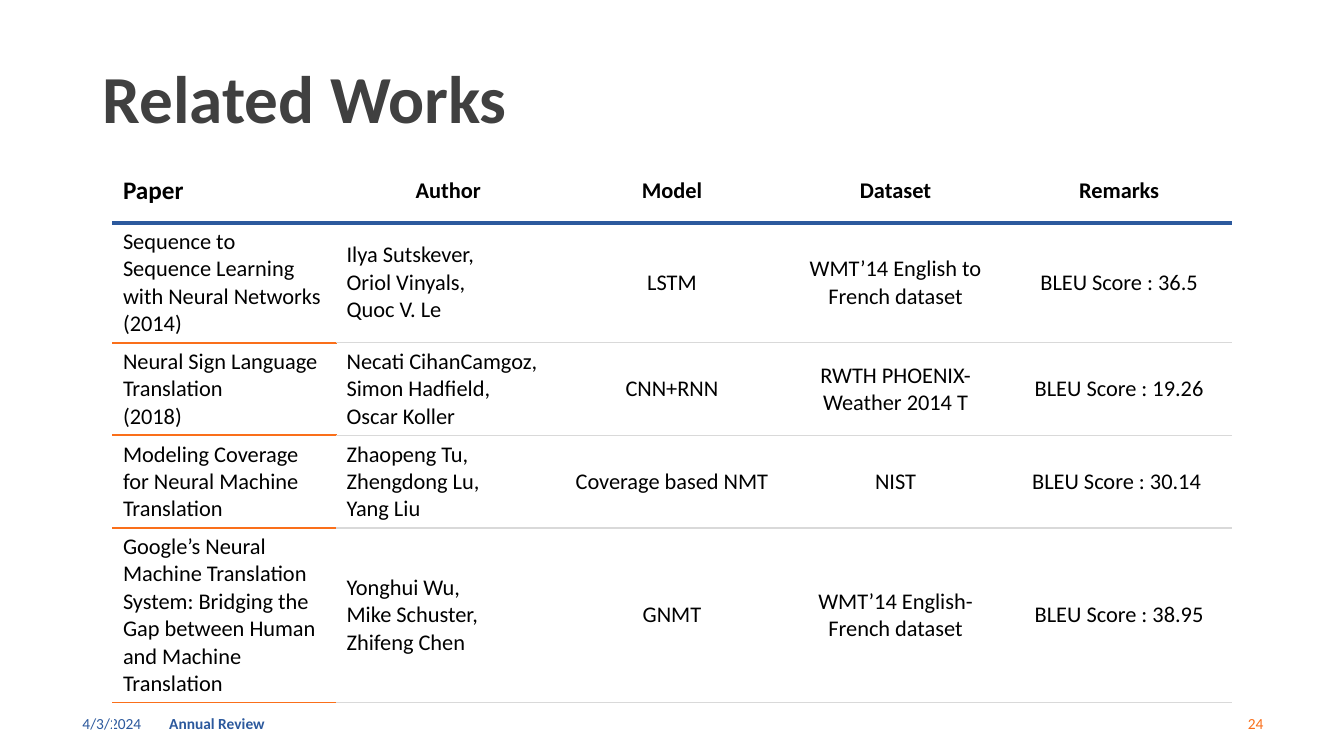
from lxml.etree import SubElement
from pptx import Presentation
from pptx.dml.color import RGBColor
from pptx.enum.text import MSO_ANCHOR as Anchor, MSO_AUTO_SIZE as AutoSize, PP_ALIGN as Align
from pptx.oxml.ns import qn
from pptx.util import Inches, Pt

BLUE = RGBColor(0x2C, 0x59, 0x9D)
ORANGE = RGBColor(0xFA, 0x6F, 0x1A)
GREY = RGBColor(0xD9, 0xD9, 0xD9)
CHARCOAL = RGBColor(0x40, 0x40, 0x40)
BLACK = RGBColor(0, 0, 0)


def write(frame, text, size=16, color=BLACK, bold=False, align=Align.LEFT, spacing=1.0):
    frame.word_wrap = True
    frame.text = text
    for paragraph in frame.paragraphs:
        paragraph.alignment = align
        paragraph.line_spacing = spacing
        font = paragraph.font
        font.name, font.size, font.bold = "Calibri", Pt(size), bold
        font.color.rgb = color
        for run in paragraph.runs:
            run.font.bold = bold
            run.font.color.rgb = color


def add_border(cell, side, color, width):
    line = SubElement(cell._tc.get_or_add_tcPr(), qn(f"a:{side}"), w=str(Pt(width)))
    fill = SubElement(line, qn("a:solidFill"))
    SubElement(fill, qn("a:srgbClr"), val=str(color))


prs = Presentation()
prs.slide_width, prs.slide_height = Inches(13.33), Inches(7.5)
slide = prs.slides.add_slide(prs.slide_layouts[5])

# Title
title = slide.shapes.title
title.left, title.top, title.width, title.height = map(Inches, (0.92, 0.62, 11.5, 0.77))
write(title.text_frame, "Related Works", size=48, color=CHARCOAL, bold=True, spacing=0.9)
title.text_frame.vertical_anchor = Anchor.MIDDLE
title.text_frame.auto_size = AutoSize.NONE

# Footer: date, name of the talk, page number
footers = [
    ("4/3/2024", 0.72, 3, BLUE, False, Align.LEFT),
    ("Annual Review", 1.58, 4.5, BLUE, True, Align.LEFT),
    ("24", 9.63, 3, ORANGE, False, Align.RIGHT),
]
for text, left, width, color, bold, align in footers:
    footer = slide.shapes.add_textbox(Inches(left), Inches(6.98), Inches(width), Inches(0.4))
    footer.text_frame.vertical_anchor = Anchor.MIDDLE
    write(footer.text_frame, text, size=11, color=color, bold=bold, align=align)

# Table of papers, closed by an empty row
papers = [
    ("Paper", "Author", "Model", "Dataset", "Remarks"),
    ("Sequence to Sequence Learning with Neural Networks\n(2014)",
     "Ilya Sutskever,\nOriol Vinyals,\nQuoc V. Le",
     "LSTM", "WMT’14 English to French dataset", "BLEU Score : 36.5"),
    ("Neural Sign Language Translation\n(2018)",
     "Necati CihanCamgoz, Simon Hadfield,\nOscar Koller",
     "CNN+RNN", "RWTH PHOENIX-Weather 2014 T", "BLEU Score : 19.26"),
    ("Modeling Coverage for Neural Machine Translation",
     "Zhaopeng Tu, Zhengdong Lu,\nYang Liu",
     "Coverage based NMT", "NIST", "BLEU Score : 30.14 "),
    ("Google’s Neural Machine Translation System: Bridging the Gap between Human "
     "and Machine Translation",
     "Yonghui Wu,\nMike Schuster,\nZhifeng Chen",
     "GNMT", "WMT’14 English-French dataset", "BLEU Score : 38.95"),
    ("",) * 5,
]
row_heights = [0.63, 1.19, 0.92, 0.92, 1.73, 0.53]
table = slide.shapes.add_table(len(papers), 5, Inches(1.12), Inches(1.58),
                               Inches(11.09), Inches(5.92)).table
table.horz_banding = False
for row, height in zip(table.rows, row_heights):
    row.height = Inches(height)

for r, paper in enumerate(papers):
    for c, text in enumerate(paper):
        cell = table.cell(r, c)
        cell.vertical_anchor = Anchor.MIDDLE
        header = r == 0
        centred = c > 1 or (header and c == 1)
        write(cell.text_frame, text, size=18 if header and c == 0 else 16, bold=header,
              align=Align.CENTER if centred else Align.LEFT)

        # Rules: blue under the header, orange under papers, grey elsewhere
        body_rule = (ORANGE, 1.5) if c == 0 else (GREY, 1)
        header_rule = (BLUE, 3)
        if r > 0:
            add_border(cell, "lnT", *(header_rule if r == 1 else body_rule))
        if r < len(papers) - 1:
            add_border(cell, "lnB", *(header_rule if header else body_rule))
        cell.fill.background()

prs.save("out.pptx")
